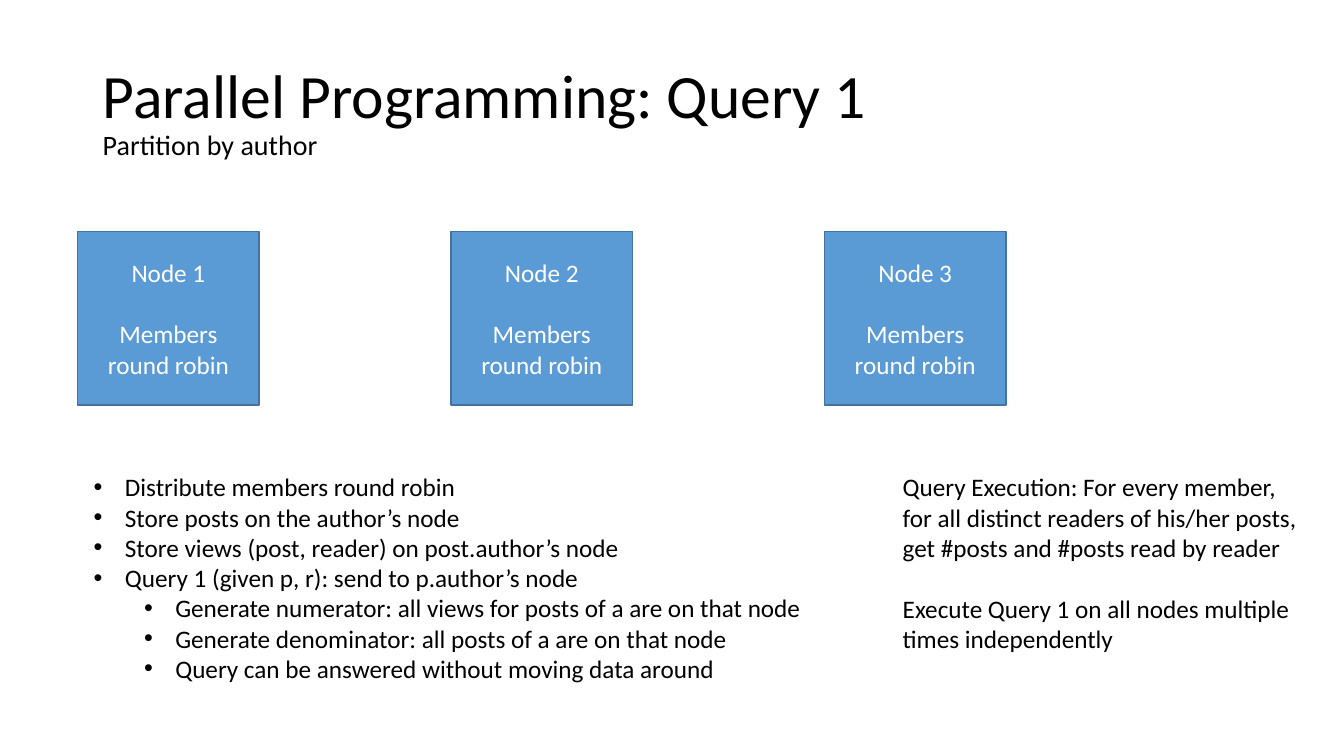
from dataclasses import dataclass

from lxml import etree
from pptx import Presentation
from pptx import util as u
from pptx.dml import color
from pptx.enum import shapes, text
from pptx.oxml import ns


@dataclass(frozen=True)
class Theme:
    """Colours, font and type sizes of the page."""
    font: str = "Calibri"
    ink: str = "000000"
    light: str = "FFFFFF"
    node_fill: str = "5B9BD5"
    node_line: str = "43739E"
    title: int = 44
    subtitle: int = 20
    body: int = 18
    blank_line: int = 22


THEME = Theme()
NODE_COUNT = 3
NODE_PITCH = 9.41
TITLE_BOX = (2.34, 1.02, 29.21, 3.68)
NODE_BOX = (1.96, 5.84, 4.57, 4.37)
STEPS_BOX = (2.11, 11.76, 18.54, 5.64)
EXECUTION_BOX = (22.5, 11.76, 10.57, 4.88)
STEPS = [
    (0, "Distribute members round robin"),
    (0, "Store posts on the author’s node"),
    (0, "Store views (post, reader) on post.author’s node"),
    (0, "Query 1 (given p, r): send to p.author’s node"),
    (1, "Generate numerator: all views for posts of a are on that node"),
    (1, "Generate denominator: all posts of a are on that node"),
    (1, "Query can be answered without moving data around"),
]
EXECUTION = [
    ("Query Execution: For every member,", 0),
    ("for all distinct readers of his/her posts,", 0),
    ("get #posts and #posts read by reader", THEME.blank_line),
    ("Execute Query 1 on all nodes multiple", 0),
    ("times independently", 0),
]


def apply(target, formats):
    """Set each named attribute of the target."""
    for name, value in formats.items():
        setattr(target, name, value)


def place(box):
    """Turn a box in centimetres into lengths."""
    return [u.Cm(length) for length in box]


def write(frame, words, size=THEME.body, ink=THEME.ink, **formats):
    """Add one formatted paragraph to the frame."""
    first = frame.paragraphs[0]
    para = first if not first.runs else frame.add_paragraph()
    apply(para, formats)
    span = para.add_run()
    span.text = words
    apply(span.font, {"name": THEME.font, "size": u.Pt(size)})
    span.font.color.rgb = color.RGBColor.from_string(ink)
    return para


def add_bullet(para, level):
    """Give the paragraph a hanging bullet for its level."""
    properties = para._p.get_or_add_pPr()
    hang = u.Cm(0.79)
    properties.set("marL", str(hang + level * u.Cm(1.27)))
    properties.set("indent", str(-hang))
    for tag, name, value in (("a:buFont", "typeface", "Arial"), ("a:buChar", "char", "•")):
        etree.SubElement(properties, ns.qn(tag)).set(name, value)


def add_title(page, box):
    """Place the title with its subtitle."""
    frame = page.shapes.add_textbox(*place(box)).text_frame
    apply(frame, {"word_wrap": True, "vertical_anchor": text.MSO_ANCHOR.MIDDLE})
    write(frame, "Parallel Programming: Query 1", THEME.title, line_spacing=0.9)
    write(frame, "Partition by author", THEME.subtitle, line_spacing=0.9)


def add_node(page, box, number):
    """Place one numbered node square."""
    node = page.shapes.add_shape(shapes.MSO_SHAPE.RECTANGLE, *place(box))
    node.shadow.inherit = False
    node.fill.solid()
    node.fill.fore_color.rgb = color.RGBColor.from_string(THEME.node_fill)
    node.line.color.rgb = color.RGBColor.from_string(THEME.node_line)
    node.line.width = u.Pt(1)
    frame = node.text_frame
    apply(frame, {"word_wrap": True, "vertical_anchor": text.MSO_ANCHOR.MIDDLE})
    for words, gap in ((f"Node {number}", THEME.blank_line), ("Members", 0), ("round robin", 0)):
        write(frame, words, ink=THEME.light, alignment=text.PP_ALIGN.CENTER, space_after=u.Pt(gap))


def add_nodes(page, box):
    """Place the row of nodes, starting at the given box."""
    left, top, width, height = box
    for index in range(NODE_COUNT):
        add_node(page, (left + index * NODE_PITCH, top, width, height), index + 1)


def add_free_text(page, box):
    """Place an unwrapped text box and return its frame."""
    frame = page.shapes.add_textbox(*place(box)).text_frame
    apply(frame, {"word_wrap": False, "auto_size": text.MSO_AUTO_SIZE.SHAPE_TO_FIT_TEXT})
    return frame


def add_steps(page, box):
    """Place the bulleted steps."""
    frame = add_free_text(page, box)
    for level, words in STEPS:
        add_bullet(write(frame, words, level=level), level)


def add_execution(page, box):
    """Place the remarks on query execution."""
    frame = add_free_text(page, box)
    for words, gap in EXECUTION:
        write(frame, words, space_after=u.Pt(gap))


def main():
    """Build the deck and save it."""
    deck = Presentation()
    apply(deck, {"slide_width": u.Cm(33.87), "slide_height": u.Cm(19.05)})
    page = deck.slides.add_slide(deck.slide_layouts[6])
    add_title(page, TITLE_BOX)
    add_nodes(page, NODE_BOX)
    add_steps(page, STEPS_BOX)
    add_execution(page, EXECUTION_BOX)
    deck.save("out.pptx")


if __name__ == "__main__":
    main()
